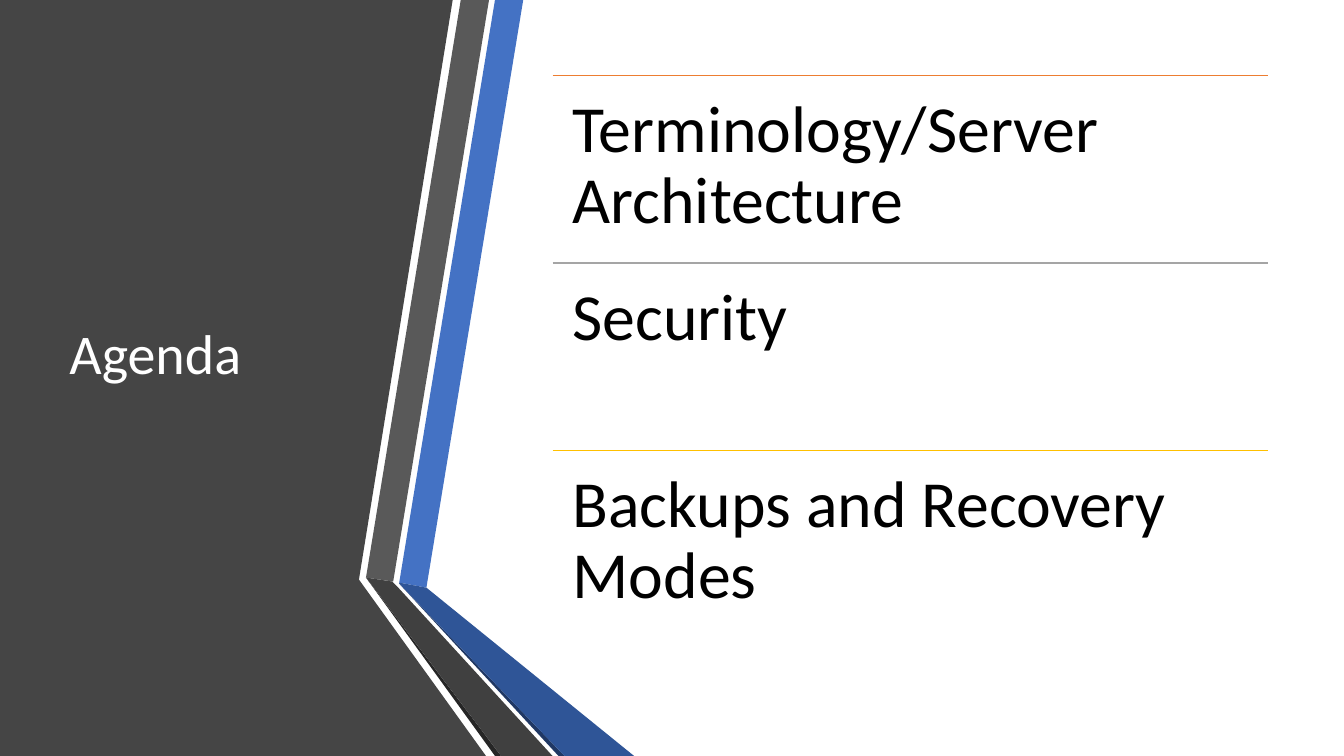
from lxml import etree
from pptx import Presentation
from pptx.dml.color import RGBColor
from pptx.enum.shapes import MSO_CONNECTOR as CONNECTOR
from pptx.enum.text import MSO_ANCHOR as ANCHOR
from pptx.oxml.ns import qn
from pptx.util import Inches, Pt

FONT = "Calibri"
WHITE = RGBColor(0xFF, 0xFF, 0xFF)
BLACK = RGBColor(0x00, 0x00, 0x00)
PANEL = RGBColor(0x45, 0x45, 0x45)
BLUE = RGBColor(0x44, 0x72, 0xC4)
BLUE_DARK = RGBColor(0x2F, 0x55, 0x97)
BLUE_EDGE = RGBColor(0x20, 0x38, 0x64)
GRAY = RGBColor(0x59, 0x59, 0x59)
GRAY_DARK = RGBColor(0x40, 0x40, 0x40)
GRAY_EDGE = RGBColor(0x26, 0x26, 0x26)
ORANGE = RGBColor(0xED, 0x7D, 0x31)
SILVER = RGBColor(0xA5, 0xA5, 0xA5)
GOLD = RGBColor(0xFF, 0xC0, 0x00)

# Side panel and folded ribbons, back to front
RIBBONS = [
    (PANEL, [(0, 0), (4.49, 0), (3.56, 5.75), (4.82, 7.5), (0, 7.5)]),
    (BLUE, [(3.96, 5.78), (4.23, 5.83), (5.19, 0), (4.91, 0)]),
    (GRAY, [(4.85, 0), (4.57, 0), (3.63, 5.73), (3.9, 5.77)]),
    (GRAY_EDGE, [(3.63, 5.73), (4.91, 7.5), (4.97, 7.5)]),
    (BLUE_EDGE, [(3.96, 5.79), (5.54, 7.5), (5.6, 7.5)]),
    (BLUE_DARK, [(3.96, 5.79), (5.6, 7.5), (6.29, 7.5), (4.23, 5.83),
                 (3.96, 5.78)]),
    (GRAY_DARK, [(5.48, 7.5), (3.95, 5.83), (3.89, 5.77), (3.63, 5.73),
                 (4.97, 7.5)]),
]

AGENDA = [
    (ORANGE, "Terminology/Server Architecture"),
    (SILVER, "Security"),
    (GOLD, "Backups and Recovery Modes"),
]
LEFT, TOP, WIDTH, ROW_HEIGHT = 5.48, 0.75, 7.1, 1.86


def add_outline(s, color, points):
    start, *rest = [(Inches(x), Inches(y)) for x, y in points]
    builder = s.shapes.build_freeform(*start)
    builder.add_line_segments(rest, close=True)
    sp = builder.convert_to_shape()
    sp.shadow.inherit = False
    sp.fill.solid()
    sp.fill.fore_color.rgb = color
    sp.line.fill.background()


def add_text(s, text, box, size, color, frame=None, space_after=0):
    tf = s.shapes.add_textbox(*map(Inches, box)).text_frame
    for name, value in {"word_wrap": True, **(frame or {})}.items():
        setattr(tf, name, value)
    p = tf.paragraphs[0]
    p.line_spacing = 0.9
    p.space_after = Pt(space_after)
    r = p.add_run()
    r.text = text
    for name, value in {"name": FONT, "size": Pt(size)}.items():
        setattr(r.font, name, value)
    r.font.color.rgb = color


def add_rule(s, x, y, width, color):
    line = s.shapes.add_connector(CONNECTOR.STRAIGHT, Inches(x), Inches(y),
                                  Inches(x + width), Inches(y))
    line.line.color.rgb = color
    line.line.width = Pt(1)
    etree.SubElement(line._element.spPr, qn("a:effectLst"))


def main():
    prs = Presentation()
    prs.slide_width, prs.slide_height = Inches(13.33), Inches(7.5)
    s = prs.slides.add_slide(prs.slide_layouts[6])

    for color, points in RIBBONS:
        add_outline(s, color, points)

    # Title
    add_text(s, "Agenda", (0.59, 0.75, 3.04, 5.58), 40, WHITE,
             {"vertical_anchor": ANCHOR.MIDDLE})

    # Agenda rows, each under its own rule
    sides = ("left", "top", "right", "bottom")
    insets = {f"margin_{side}": Inches(0.2) for side in sides}
    for i, (color, text) in enumerate(AGENDA):
        y = TOP + i * ROW_HEIGHT
        add_rule(s, LEFT, y, WIDTH, color)
        add_text(s, text, (LEFT, y, WIDTH, ROW_HEIGHT), 47, BLACK, insets,
                 space_after=16)

    prs.save("out.pptx")


main()
